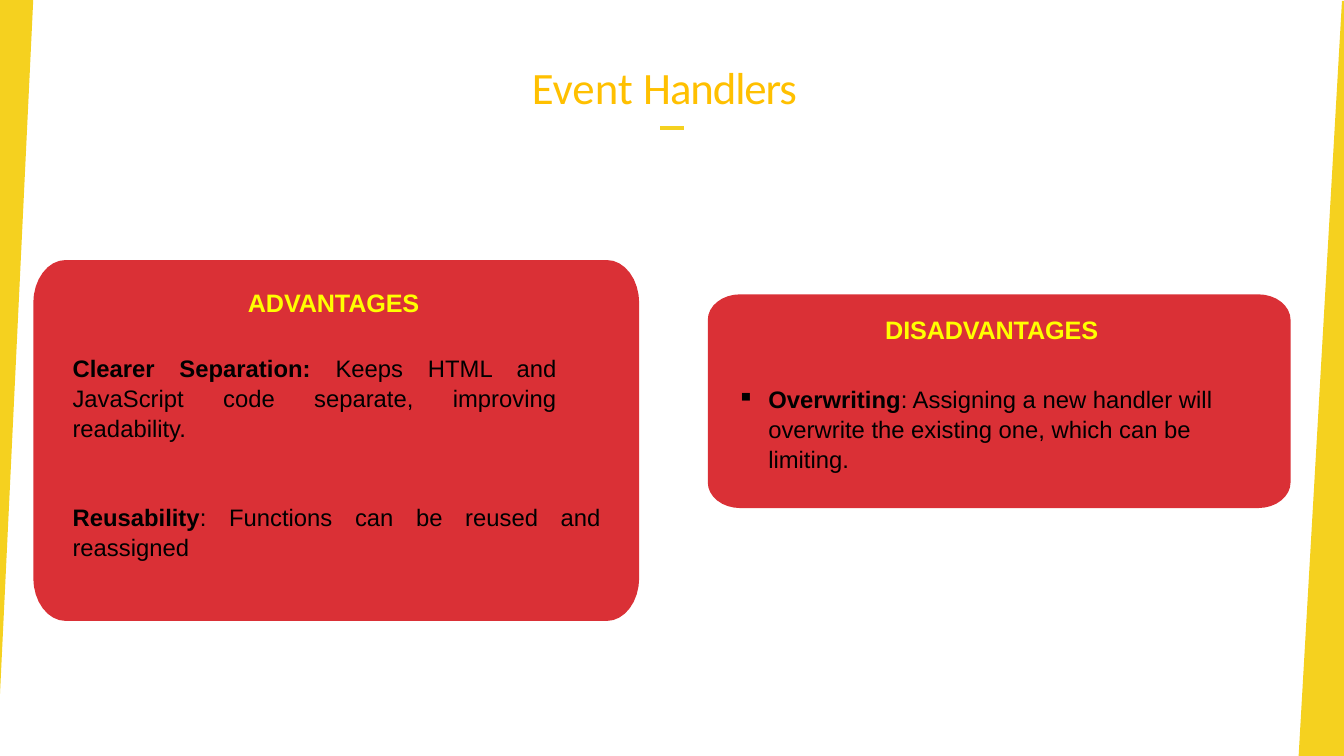
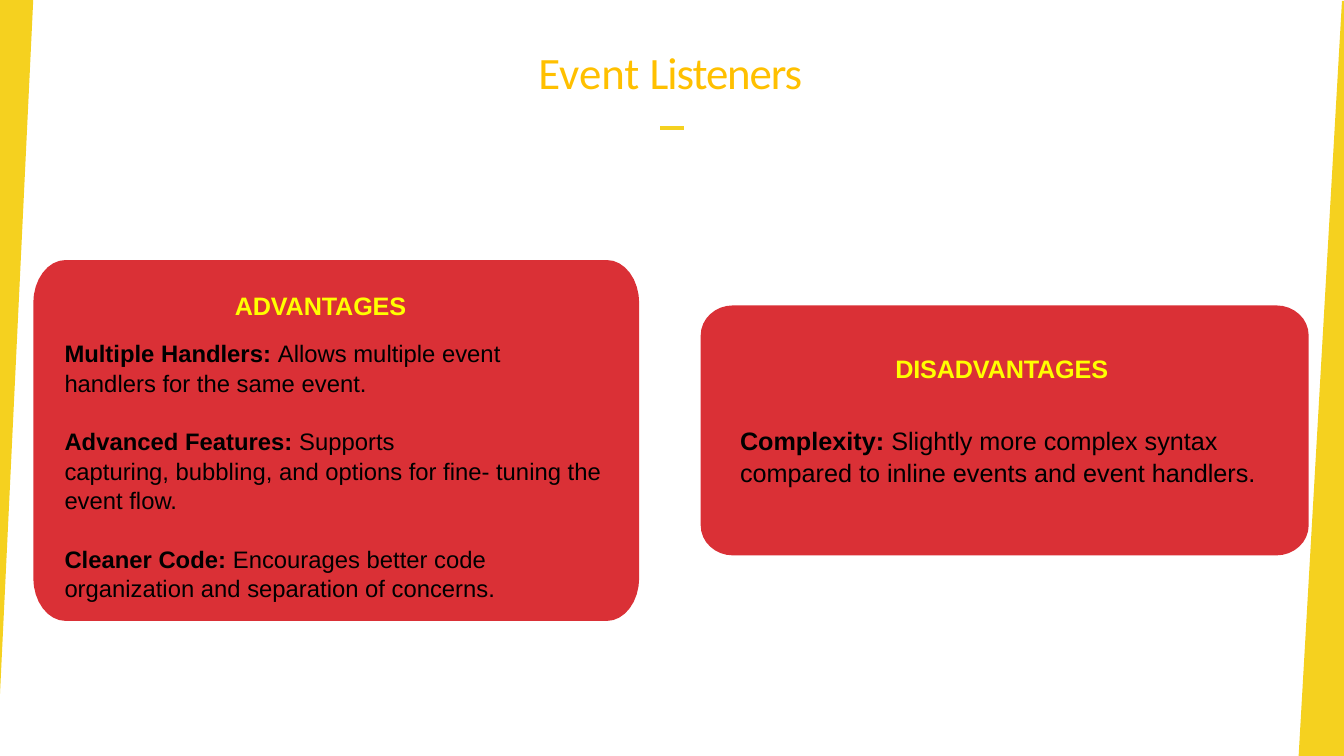
from dataclasses import dataclass
from math import cos, pi, sin

from lxml.etree import SubElement
from pptx import Presentation
from pptx.dml.color import RGBColor
from pptx.enum.text import MSO_ANCHOR, MSO_AUTO_SIZE, PP_ALIGN
from pptx.oxml.ns import qn
from pptx.util import Inches, Pt


@dataclass(frozen=True)
class Theme:
    gold: str = "F5D11F"
    amber: str = "FFC000"
    red: str = "DA3036"
    yellow: str = "FFFF00"
    black: str = "000000"
    head: str = "Calibri"
    body: str = "Arial"
    title: float = 32
    label: float = 18
    text: float = 17
    lead: float = 1.04
    gap: float = 20.4


T = Theme()
BANDS = (
    [(0.33, 0), (0, 0), (0, 6.89)],
    [(13.33, 0.01), (13.31, 0.01), (12.88, 7.5), (13.33, 7.5)],
    [(6.55, 1.25), (6.78, 1.25), (6.78, 1.29), (6.55, 1.29)],
)


def outline(slide, points, color):
    dots = [(Inches(x), Inches(y)) for x, y in points]
    pen = slide.shapes.build_freeform(*dots[0])
    pen.add_line_segments(dots[1:], close=True)
    shape = pen.convert_to_shape()
    shape.shadow.inherit = False
    shape.fill.solid()
    shape.fill.fore_color.rgb = RGBColor.from_string(color)
    shape.line.fill.background()
    return shape


def panel(slide, left, top, width, height):
    rx, ry, steps = 0.32, height * 0.12, 8
    right, base = left + width - rx, top + height - ry
    hubs = [(right, base), (left + rx, base), (left + rx, top + ry), (right, top + ry)]
    points = []
    for turn, (x, y) in enumerate(hubs):
        for step in range(steps + 1):
            angle = (turn + step / steps) * pi / 2
            points.append((x + rx * cos(angle), y + ry * sin(angle)))
    outline(slide, points, T.red)


def setup(frame, inset=0.01):
    frame.word_wrap = True
    frame.auto_size = MSO_AUTO_SIZE.NONE
    frame.vertical_anchor = MSO_ANCHOR.TOP
    frame.margin_left = frame.margin_right = frame.margin_bottom = 0
    frame.margin_top = Inches(inset)


def place(shape, left, top, width, height):
    shape.left, shape.top = Inches(left), Inches(top)
    shape.width, shape.height = Inches(width), Inches(height)


def write(para, text, size, color, font, bold=False, track=0):
    run = para.add_run()
    run.text = text
    run.font.size = Pt(size)
    run.font.name = font
    run.font.bold = bold
    run.font.color.rgb = RGBColor.from_string(color)
    if track:
        run._r.get_or_add_rPr().set("spc", str(round(track * 100)))


def indent(para, left=0.01, right=0, first=0):
    props = para._p.get_or_add_pPr()
    for name, value in (("marL", left), ("marR", right), ("indent", first)):
        props.set(name, str(Inches(value)))
    return props


def title(slide, word, box, inset, align, left):
    shape = slide.shapes.title
    place(shape, *box)
    setup(shape.text_frame, inset)
    para = shape.text_frame.paragraphs[0]
    para.alignment = align
    para.space_before = Pt(1)
    indent(para, left)
    write(para, "Event ", T.title, T.amber, T.head)
    write(para, word, T.title, T.amber, T.head, track=-0.8)


def textbox(slide, left, top, width, height):
    box = slide.shapes.add_textbox(*map(Inches, (left, top, width, height)))
    setup(box.text_frame)
    return box.text_frame


def label(slide, text, left, top, width):
    para = textbox(slide, left, top, width, 0.33).paragraphs[0]
    para.space_before = Pt(1)
    indent(para)
    write(para, text, T.label, T.yellow, T.body, True, -0.1)


def points(slide, box, items, size=T.text, align=PP_ALIGN.LEFT, mark=None):
    frame = textbox(slide, *box)
    for count, (term, text, before, right) in enumerate(items):
        para = frame.add_paragraph() if count else frame.paragraphs[0]
        para.alignment = align
        para.line_spacing = T.lead
        para.space_before = Pt(before)
        if mark:
            props = indent(para, 0.33, right, -0.31)
            SubElement(props, qn("a:buChar")).set("char", mark)
        else:
            indent(para, 0.01, right)
        if term:
            write(para, term, size, T.black, T.body, True)
        write(para, text, size, T.black, T.body)


def frame(deck):
    layout = deck.slide_layouts[5]
    for holder in list(layout.placeholders)[1:]:
        layout.shapes.element.remove(holder.element)
    slide = deck.slides.add_slide(layout)
    for band in BANDS:
        layout.shapes.element.append(outline(slide, band, T.gold).element)
    return slide, deck.slides.add_slide(layout)


def handlers(slide):
    title(slide, "Handlers", (4.67, 0.58, 3.83, 0.56), 0.01, PP_ALIGN.CENTER, 0.01)
    panel(slide, 0.33, 2.58, 6.01, 3.58)
    label(slide, "ADVANTAGES", 2.45, 2.84, 1.77)
    points(slide, (0.71, 3.49, 5.25, 2.04), [
        ("Clearer Separation: ",
         "Keeps HTML and JavaScript code separate, improving readability.", 1, 0.44),
        ("Reusability", ": Functions can be reused and reassigned", 2 * T.gap + 1.8, 0),
    ], align=PP_ALIGN.JUSTIFY)
    panel(slide, 7.02, 2.92, 5.78, 2.12)
    label(slide, "DISADVANTAGES", 8.77, 3.11, 2.19)
    points(slide, (7.29, 3.8, 5.14, 0.87), [
        ("Overwriting",
         ": Assigning a new handler will overwrite the existing one, which can be limiting.",
         1, 0),
    ], mark="▪")


def listeners(slide):
    title(slide, "Listeners", (2.58, 0.33, 7.76, 0.65), 0.11, PP_ALIGN.LEFT, 2.76)
    panel(slide, 0.33, 2.58, 6.01, 3.58)
    label(slide, "ADVANTAGES", 2.32, 2.87, 1.77)
    points(slide, (0.63, 3.34, 5.42, 2.59), [
        ("Multiple Handlers: ", "Allows multiple event", 1, 0),
        ("", "handlers for the same event.", 0, 0),
        ("Advanced Features: ", "Supports", T.gap, 0),
        ("", "capturing, bubbling, and options for fine- tuning the event flow.", 0, 0),
        ("Cleaner Code: ",
         "Encourages better code organization and separation of concerns.", T.gap, 0),
    ])
    panel(slide, 6.95, 3.03, 6.03, 2.48)
    label(slide, "DISADVANTAGES", 8.87, 3.5, 2.19)
    points(slide, (7.33, 4.2, 5.25, 0.62), [
        ("Complexity: ",
         "Slightly more complex syntax compared to inline events and event handlers.", 1, 0),
    ], size=T.label)


def main():
    deck = Presentation()
    deck.slide_width, deck.slide_height = Inches(13.33), Inches(7.5)
    first, second = frame(deck)
    handlers(first)
    listeners(second)
    deck.save("out.pptx")


if __name__ == "__main__":
    main()
